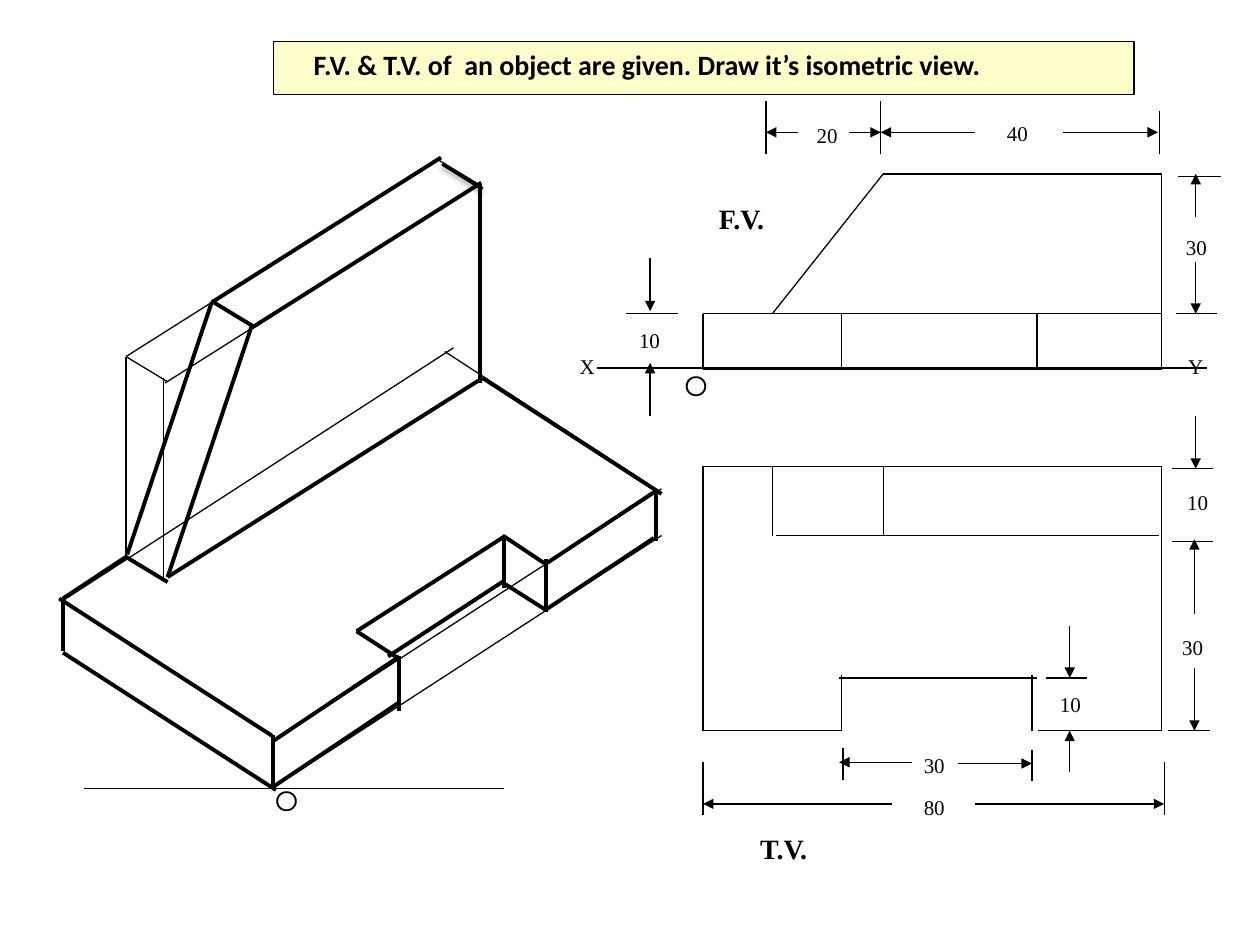
from itertools import pairwise

from lxml import etree
from pptx import Presentation
from pptx.dml.color import RGBColor
from pptx.enum.shapes import MSO_CONNECTOR, MSO_SHAPE
from pptx.enum.text import MSO_AUTO_SIZE, PP_ALIGN
from pptx.oxml import parse_xml
from pptx.oxml.ns import nsdecls, qn
from pptx.util import Inches, Pt

STRAIGHT = MSO_CONNECTOR.STRAIGHT
RECTANGLE = MSO_SHAPE.RECTANGLE
CENTER, LEFT = PP_ALIGN.CENTER, PP_ALIGN.LEFT
BLACK, CREAM = "000000", "FFFFCC"
SERIF, SANS, ROUND = "Times New Roman", "Calibri", "Montserrat"
THIN, THICK = 0.75, 2.25

# Columns shared by front and top view, then the rows of each view
C_LEFT, C_FOOT, C_NOTCH, C_TOP, C_NOTCH_END, C_RIGHT = 5.58, 6.13, 6.68, 7.01, 8.23, 9.22
F_TOP, F_STEP, F_BASE = 1.38, 2.49, 2.93
T_BACK, T_WALL, T_NOTCH, T_FRONT = 3.7, 4.25, 5.38, 5.8

FRONT_VIEW = [
    [(C_LEFT, F_STEP), (C_RIGHT, F_STEP), (C_RIGHT, F_BASE), (C_LEFT, F_BASE), (C_LEFT, F_STEP)],
    [(C_FOOT, F_STEP), (C_TOP, F_TOP), (C_RIGHT, F_TOP), (C_RIGHT, F_STEP)],
    [(C_NOTCH, F_STEP), (C_NOTCH, F_BASE)],
    [(C_NOTCH_END, F_STEP), (C_NOTCH_END, F_BASE)],
    [(4.74, 2.92), (9.58, 2.92)],
]
TOP_VIEW = [
    [(C_NOTCH, T_FRONT), (C_LEFT, T_FRONT), (C_LEFT, T_BACK),
     (C_RIGHT, T_BACK), (C_RIGHT, T_FRONT), (8.24, T_FRONT)],
    [(C_FOOT, T_BACK), (C_FOOT, T_WALL)],
    [(C_TOP, T_BACK), (C_TOP, T_WALL)],
    [(6.16, T_WALL), (9.2, T_WALL)],
    [(C_NOTCH, 5.36), (C_NOTCH, T_FRONT)],
    [(8.19, 5.36), (8.19, T_FRONT)],
    [(6.66, T_NOTCH), (C_NOTCH_END, T_NOTCH)],
]

# Extension lines: column, top, bottom / row, left, right
UPRIGHT_TICKS = [
    (C_LEFT, 6.05, 6.47), (9.24, 6.05, 6.47), (6.69, 5.94, 6.19), (8.19, 5.95, 6.2),
    (6.08, 0.8, 1.22), (6.99, 0.8, 1.22), (9.2, 0.88, 1.22),
]
LEVEL_TICKS = [
    (T_NOTCH, 8.3, 8.63), (4.3, 9.3, 9.63), (3.72, 9.3, 9.63), (T_FRONT, 9.27, 9.6),
    (1.4, 9.35, 9.69), (F_STEP, 9.33, 9.66), (F_STEP, 4.97, 5.38),
]
# Dimension arrows: row or column, tail, tip
LEVEL_ARROWS = [
    (6.05, 7.24, 6.66), (6.06, 7.6, 8.19), (6.38, 7.74, 9.24), (6.38, 7.08, C_LEFT),
    (1.05, 7.74, 6.99), (1.05, 8.44, 9.19), (1.05, 6.74, 6.99), (1.05, 6.33, 6.08),
]
UPRIGHT_ARROWS = [
    (9.49, 3.3, 3.72), (9.48, 4.87, 4.28), (9.48, 5.3, T_FRONT),
    (8.49, 4.97, T_NOTCH), (8.49, 6.13, T_FRONT), (5.16, 3.3, 2.88), (5.16, 2.05, 2.47),
    (9.49, 1.72, F_TOP), (9.49, 2.08, F_STEP),
]
DIMENSIONS = [
    ("10", 4.97, 2.55), ("10", 9.32, 3.84), ("30", 9.28, 4.99), ("10", 8.31, 5.44),
    ("30", 9.31, 1.81), ("40", 7.89, 0.91), ("20", 6.38, 0.92), ("80", 7.23, 6.26),
    ("30", 7.23, 5.92),
]

ISO_GUIDES = [
    [(0.67, 6.26), (4, 6.26)],
    [(2.17, 6.25), (5.25, 4.25)],
    [(2.17, 5.88), (5.25, 3.88)],
    [(0.51, 4.76), (3.6, 2.76)],
    [(5.22, 3.89), (3.53, 2.79)],
    [(1, 4.42), (1, 2.83), (3.5, 1.25)],
    [(1.3, 4.58), (1.3, 3)],
    [(1.31, 3.04), (3.81, 1.46)],
    [(3.48, 1.27), (3.81, 1.47)],
    [(1, 2.83), (1.33, 3.03)],
]
ISO_BASE = [
    [(2.19, 6.27), (0.5, 5.18)],
    [(2.17, 6.25), (2.17, 5.83)],
    [(0.5, 5.17), (0.5, 4.75), (1, 4.42), (1.33, 4.62)],
    [(2.16, 5.84), (0.47, 4.75)],
    [(2.17, 5.88), (3.17, 5.21), (3.17, 5.64)],
    [(2.16, 6.25), (3.16, 5.58)],
    [(4.34, 4.47), (5.2, 3.9)],
    [(4.33, 4.84), (5.19, 4.27)],
    [(5.21, 4.29), (5.21, 3.88)],
    [(3.83, 3), (5.25, 3.92)],
]
ISO_NOTCH = [
    [(3.17, 5.23), (2.83, 5.01), (4, 4.26)],
    [(4.32, 4.47), (3.99, 4.25)],
    [(4, 4.25), (4, 4.67)],
    [(4.33, 4.44), (4.33, 4.86)],
    [(4.33, 4.84), (4, 4.63)],
    [(3.08, 5.21), (4, 4.61)],
]
ISO_WALL = [
    [(2, 2.58), (1.33, 4.58), (3.83, 3)],
    [(3.81, 3.04), (3.81, 1.46)],
    [(1.68, 2.39), (2.01, 2.59)],
    [(1.01, 4.4), (1.68, 2.4), (3.5, 1.25)],
    [(2, 2.6), (3.82, 1.45)],
]
SHADOW = (
    f'<a:effectLst {nsdecls("a")}><a:outerShdw blurRad="40000" dist="20000" dir="5400000">'
    '<a:srgbClr val="000000"><a:alpha val="38000"/></a:srgbClr></a:outerShdw></a:effectLst>'
)


def color(code):
    return RGBColor.from_string(code)


def add_line(page, start, end, width=THIN, arrow=False, shadow=False):
    line = page.shapes.add_connector(STRAIGHT, *map(Inches, (*start, *end)))
    line.line.color.rgb = color(BLACK)
    line.line.width = Pt(width)
    if arrow:
        etree.SubElement(line.line._get_or_add_ln(), qn("a:tailEnd"), type="triangle")
    properties = line._element.spPr
    if shadow:
        properties.append(parse_xml(SHADOW))
    else:
        etree.SubElement(properties, qn("a:effectLst"))


def add_paths(page, paths, width=THIN):
    """Draw each path as a chain of straight lines."""
    for path in paths:
        for start, end in pairwise(path):
            add_line(page, start, end, width)


def add_level_lines(page, lines, arrow=False):
    for row, start, end in lines:
        add_line(page, (start, row), (end, row), arrow=arrow)


def add_upright_lines(page, lines, arrow=False):
    for column, start, end in lines:
        add_line(page, (column, start), (column, end), arrow=arrow)


def add_label(page, text, left, top, width=0.37, height=0.3, size=12,
              font=SERIF, bold=False, align=CENTER):
    box = page.shapes.add_textbox(*map(Inches, (left, top, width, height)))
    frame = box.text_frame
    frame.word_wrap = False
    frame.auto_size = MSO_AUTO_SIZE.SHAPE_TO_FIT_TEXT
    para = frame.paragraphs[0]
    para.text = text
    para.alignment = align
    para.font.name, para.font.size, para.font.bold = font, Pt(size), bold
    para.font.color.rgb = color(BLACK)


def add_title(page):
    banner = page.shapes.add_shape(RECTANGLE, *map(Inches, (2.17, 0.33, 6.83, 0.42)))
    banner.shadow.inherit = False
    banner.fill.solid()
    banner.fill.fore_color.rgb = color(CREAM)
    banner.line.color.rgb = color(BLACK)
    banner.line.width = Pt(THIN)
    add_label(page, "F.V. & T.V. of  an object are given. Draw it’s isometric view.",
              2.39, 0.33, 6.43, 0.37, 16, SANS, True, LEFT)


def add_isometric_view(page):
    add_paths(page, ISO_GUIDES)
    add_paths(page, ISO_BASE + ISO_NOTCH + ISO_WALL, THICK)
    add_line(page, (3.83, 1.5), (3.51, 1.3), 2, shadow=True)
    add_label(page, "O", 2.08, 6.17, 0.39, 0.37, 16, ROUND)


def add_given_views(page):
    add_paths(page, FRONT_VIEW + TOP_VIEW)
    add_label(page, "O", 5.33, 2.88, 0.39, 0.37, 16, ROUND)
    add_label(page, "F.V.", 5.58, 1.55, 0.61, 0.37, 16, bold=True)
    add_label(page, "T.V.", 5.91, 6.55, 0.62, 0.37, 16, bold=True)
    add_label(page, "X", 4.5, 2.76, 0.32)
    add_label(page, "Y", 9.33, 2.76, 0.32)


def add_dimensions(page):
    add_upright_lines(page, UPRIGHT_TICKS)
    add_level_lines(page, LEVEL_TICKS)
    add_upright_lines(page, UPRIGHT_ARROWS, arrow=True)
    add_level_lines(page, LEVEL_ARROWS, arrow=True)
    for text, left, top in DIMENSIONS:
        add_label(page, text, left, top)


def main():
    deck = Presentation()
    deck.slide_width, deck.slide_height = Inches(10), Inches(7.5)
    page = deck.slides.add_slide(deck.slide_layouts[6])
    add_isometric_view(page)
    add_given_views(page)
    add_dimensions(page)
    add_title(page)
    deck.save("out.pptx")


if __name__ == "__main__":
    main()
